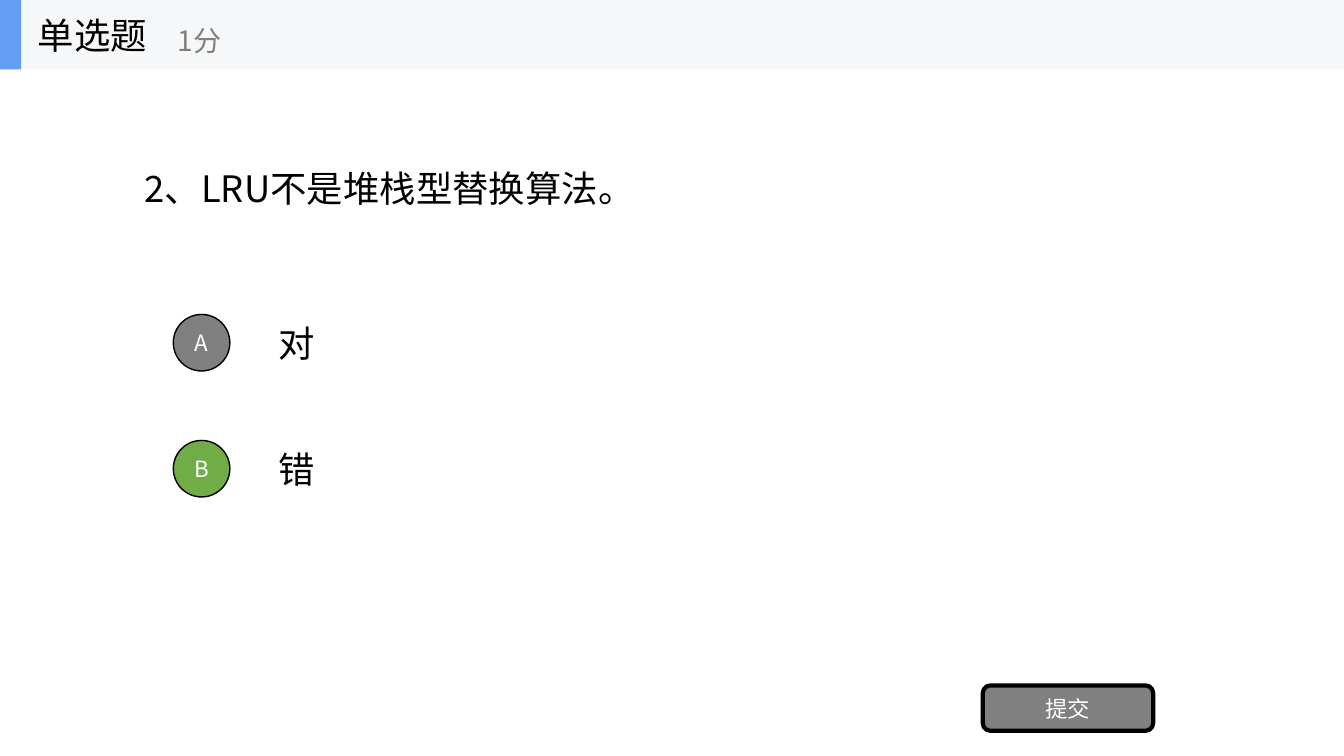
from lxml.etree import SubElement
from pptx import Presentation
from pptx.dml.color import RGBColor
from pptx.enum.shapes import MSO_SHAPE
from pptx.enum.text import MSO_ANCHOR, PP_ALIGN
from pptx.oxml.ns import qn
from pptx.util import Pt

FONT = "Noto Sans CJK SC"
COLORS = {
    "black": "000000",
    "white": "FFFFFF",
    "gray": "808080",
    "green": "70AD47",
    "band": "F6F7F8",
    "accent": "639EF4",
}
BAND_HEIGHT = 49.6
OPTION_TOP = 219.6
OPTION_STEP = 90
OPTION_HEIGHT = 50.4
BADGE_SIZE = 40.4


def color(name):
    """Return the palette colour with this name."""
    return RGBColor.from_string(COLORS[name])


def write(shape, text, size, ink, align=PP_ALIGN.LEFT):
    """Put one formatted, vertically centred paragraph into a shape."""
    frame = shape.text_frame
    frame.word_wrap = True
    frame.vertical_anchor = MSO_ANCHOR.MIDDLE
    para = frame.paragraphs[0]
    para.text = text
    para.alignment = align
    para.font.size = Pt(size)
    para.font.color.rgb = color(ink)
    para.font.name = FONT
    properties = para._p.pPr.find(qn("a:defRPr"))
    SubElement(properties, qn("a:ea"), typeface=FONT)


def add_label(shapes, bounds, text, size, ink="black"):
    """Add a text box with one line of text."""
    box = shapes.add_textbox(*map(Pt, bounds))
    write(box, text, size, ink)


def add_block(shapes, kind, bounds, fill, line_width=0):
    """Add a filled shape, outlined in black if a line width is given."""
    block = shapes.add_shape(kind, *map(Pt, bounds))
    block.shadow.inherit = False
    block.fill.solid()
    block.fill.fore_color.rgb = color(fill)
    if line_width:
        block.line.color.rgb = color("black")
        block.line.width = Pt(line_width)
    else:
        block.line.fill.background()
    return block


def add_button(shapes, kind, bounds, fill, line_width, text):
    """Add an outlined shape with a centred white caption."""
    button = add_block(shapes, kind, bounds, fill, line_width)
    frame = button.text_frame
    frame.margin_left = frame.margin_right = 0
    frame.margin_top = frame.margin_bottom = 0
    write(button, text, 16, "white", PP_ALIGN.CENTER)


def add_question(page, text):
    """Place the question in the title placeholder."""
    title = page.shapes.title
    title.left, title.top, title.width, title.height = map(Pt, (96, 49.6, 768, 168.6))
    write(title, text, 26, "black")


def add_option(shapes, index, letter, text, fill):
    """Add one answer with its round letter badge."""
    top = OPTION_TOP + index * OPTION_STEP
    badge_top = top + (OPTION_HEIGHT - BADGE_SIZE) / 2
    add_label(shapes, (192, top, 672, OPTION_HEIGHT), text, 26)
    bounds = (123.8, badge_top, BADGE_SIZE, BADGE_SIZE)
    add_button(shapes, MSO_SHAPE.OVAL, bounds, fill, 1, letter)


def add_header(page, kind, score):
    """Add the grouped top band with question type and score."""
    shapes = page.shapes.add_group_shape().shapes
    for width, fill in ((960, "band"), (15.1, "accent")):
        add_block(shapes, MSO_SHAPE.RECTANGLE, (0, 0, width, BAND_HEIGHT), fill)
    add_label(shapes, (20, 0, 150, BAND_HEIGHT), kind, 26)
    add_label(shapes, (120, 8.6, 180, 40.3), score, 20, "gray")


def main():
    """Build the single-choice question slide."""
    deck = Presentation()
    deck.slide_width, deck.slide_height = Pt(960), Pt(540)
    page = deck.slides.add_slide(deck.slide_layouts[5])
    add_question(page, "2、LRU不是堆栈型替换算法。")
    options = (("A", "对", "gray"), ("B", "错", "green"))
    for index, option in enumerate(options):
        add_option(page.shapes, index, *option)
    submit_bounds = (702, 489.6, 121.7, 32.4)
    add_button(page.shapes, MSO_SHAPE.ROUNDED_RECTANGLE, submit_bounds, "gray", 3, "提交")
    add_header(page, "单选题", "1分")
    deck.save("out.pptx")


if __name__ == "__main__":
    main()
